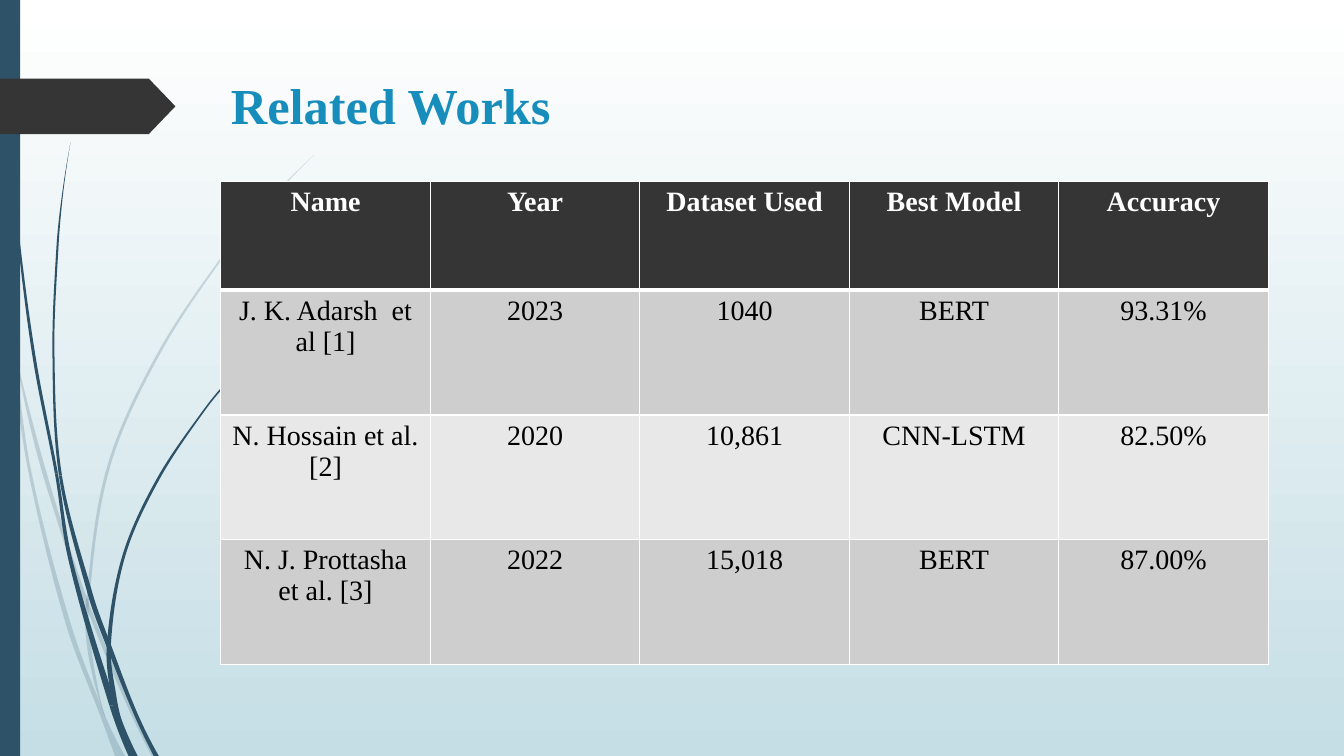
from dataclasses import dataclass

from lxml import etree
from pptx import Presentation
from pptx.dml.color import RGBColor
from pptx.enum.shapes import MSO_SHAPE
from pptx.enum.text import MSO_ANCHOR, PP_ALIGN
from pptx.oxml.ns import qn
from pptx.util import Inches, Pt

RECTANGLE, PENTAGON = MSO_SHAPE.RECTANGLE, MSO_SHAPE.PENTAGON
LEFT, CENTER = PP_ALIGN.LEFT, PP_ALIGN.CENTER
TOP, MIDDLE = MSO_ANCHOR.TOP, MSO_ANCHOR.MIDDLE


@dataclass(frozen=True)
class Theme:
    font: str = "Times New Roman"
    title_size: int = 36
    table_size: int = 20
    title: str = "178DBB"
    blue: str = "2E5369"
    dark: str = "353535"
    white: str = "FFFFFF"
    black: str = "000000"
    sky: str = "C5DEE5"
    bands: tuple = ("CECECE", "E8E8E8")


theme = Theme()


def paint(shape, color):
    """Give a shape a flat fill with no outline and no shadow."""
    shape.shadow.inherit = False
    shape.line.fill.background()
    shape.fill.solid()
    shape.fill.fore_color.rgb = RGBColor.from_string(color)


def write(paragraph, text, size, color, bold, alignment):
    paragraph.alignment = alignment
    run = paragraph.add_run()
    run.text = text
    run.font.name, run.font.size, run.font.bold = theme.font, Pt(size), bold
    run.font.color.rgb = RGBColor.from_string(color)


presentation = Presentation()
presentation.slide_width, presentation.slide_height = Inches(13.33), Inches(7.5)
slide = presentation.slides.add_slide(presentation.slide_layouts[5])
shapes = slide.shapes

# Background: white at the top to pale blue at the bottom
background = slide.background.fill
background.gradient()
background.gradient_angle = 270
for stop, position, color in zip(background.gradient_stops, (0, 1), (theme.white, theme.sky)):
    stop.position = position
    stop.color.rgb = RGBColor.from_string(color)

# Grass blades: opacity in percent, joints between pieces (node numbers),
# then (x, y, width) down the middle of each blade
blades = [
    (20, [1, 4], [(0, 2.82, 0), (.12, 3.5, .03), (.3, 4.7, .03), (.68, 6.2, .05),
                  (1.03, 7.13, .05), (1.19, 7.5, .1)]),
    (20, [3], [(.14, 3.45, 0), (.36, 4.4, .04), (.6, 5.21, .04), (.86, 5.98, .04),
               (1.25, 6.93, .04), (1.53, 7.5, .05)]),
    (20, [5], [(3.12, 1.53, 0), (2.68, 1.98, .02), (2.28, 2.45, .02), (1.59, 3.48, .03),
               (1.08, 4.62, .03), (.87, 5.95, .03), (.89, 6.46, .04), (1.04, 7.11, 0)]),
    (100, [4, 6], [(.04, 0, .01), (.07, 1.1, .01), (.18, 2.33, .02), (.34, 3.55, .03),
                   (.56, 4.7, .03), (.7, 5.56, .04), (1.12, 7, .07), (1.32, 7.5, .09)]),
    (100, [4, 6], [(.7, 1.41, 0), (.62, 1.93, .01), (.57, 2.45, .02), (.53, 3.49, .02),
                   (.6, 4.72, .03), (.9, 5.91, .05), (1.08, 6.41, .05),
                   (1.34, 7.07, .04), (1.55, 7.5, .05)]),
    (100, [5], [(2.6, 3.44, 0), (2.31, 3.73, .02), (2.04, 4.05, .02), (1.57, 4.75, .03),
                (1.23, 5.51, .03), (1.08, 6.4, .04), (1.13, 6.91, .05), (1.21, 7.19, .02)]),
]
for opacity, joints, nodes in blades:
    # Both edges, with the slope dx/dy at every node
    edges = []
    for side in (-0.5, 0.5):
        points = [(x + side * width, y) for x, y, width in nodes]
        secants = [(x1 - x0) / (y1 - y0) for (x0, y0), (x1, y1) in zip(points, points[1:])]
        slopes = [(x1 - x0) / (y1 - y0) for (x0, y0), (x1, y1) in zip(points, points[2:])]
        slopes = [2 * secants[0] - slopes[0], *slopes, 2 * secants[-1] - slopes[-1]]
        edges.append([(Inches(x), Inches(y), slope) for (x, y), slope in zip(points, slopes)])
    left_edge, right_edge = edges
    cuts = [0, *joints, len(nodes) - 1]
    for first, last in zip(cuts, cuts[1:]):
        outline = left_edge[first:last + 1] + right_edge[first:last + 1][::-1]
        builder = shapes.build_freeform(*outline[0][:2])
        builder.add_line_segments([(x, y) for x, y, slope in outline[1:]], close=True)
        blade = builder.convert_to_shape()
        paint(blade, theme.blue)
        # Bend each straight side into a cubic curve
        vertices = list(blade._element.iter(qn("a:pt")))
        for start, end, (_, _, start_slope), (_, _, end_slope) in zip(
                vertices, vertices[1:], outline, outline[1:]):
            third = (int(end.get("y")) - int(start.get("y"))) / 3
            if third:
                side_line = end.getparent()
                side_line.tag = qn("a:cubicBezTo")
                for index, (anchor, reach, slope) in enumerate(
                        ((start, third, start_slope), (end, -third, end_slope))):
                    control = etree.Element(
                        qn("a:pt"), x=str(round(int(anchor.get("x")) + slope * reach)),
                        y=str(round(int(anchor.get("y")) + reach)))
                    side_line.insert(index, control)
        if opacity < 100:
            fill_color = blade._element.spPr.find(".//" + qn("a:srgbClr"))
            etree.SubElement(fill_color, qn("a:alpha"), val=str(opacity * 1000))

# Side bar and arrow tab
side_bar = shapes.add_shape(RECTANGLE, 0, 0, Inches(0.2), presentation.slide_height)
paint(side_bar, theme.blue)
arrow_tab = shapes.add_shape(PENTAGON, 0, Inches(0.78), Inches(1.74), Inches(0.55))
arrow_tab.adjustments[0] = 0.48
paint(arrow_tab, theme.dark)

# Title
content_left, content_width = Inches(2.19), Inches(10.39)
title = shapes.title
title.left, title.top, title.width, title.height = (
    content_left, Inches(0.68), content_width, Inches(0.9))
title.text_frame.vertical_anchor = MIDDLE
title.text_frame.margin_bottom = Inches(0.17)
heading = title.text_frame.paragraphs[0]
heading.line_spacing = 0.9
write(heading, "Related Works", theme.title_size, theme.title, True, LEFT)

# Table of earlier studies
studies = [
    ("Name", "Year", "Dataset Used", "Best Model", "Accuracy"),
    ("J. K. Adarsh  et al [1]", "2023", "1040", "BERT", "93.31%"),
    ("N. Hossain et al. [2]", "2020", "10,861", "CNN-LSTM", "82.50%"),
    ("N. J. Prottasha et al. [3]", "2022", "15,018", "BERT", "87.00%"),
]
table_height, header_height = Inches(4.79), Inches(1.08)
row_height = (table_height - header_height) // (len(studies) - 1)
table = shapes.add_table(
    len(studies), len(studies[0]), content_left, Inches(1.8), content_width, table_height).table

for row_index, study in enumerate(studies):
    is_header = row_index == 0
    table.rows[row_index].height = header_height if is_header else row_height
    row_fill = theme.dark if is_header else theme.bands[(row_index - 1) % 2]
    text_color = theme.white if is_header else theme.black
    border_points = {"L": 1, "R": 1, "T": 1, "B": 3 if is_header else 1}
    for column_index, text in enumerate(study):
        cell = table.cell(row_index, column_index)
        cell.vertical_anchor = TOP
        properties = cell._tc.get_or_add_tcPr()
        for side, points in border_points.items():
            border = etree.SubElement(properties, qn("a:ln" + side), w=str(Pt(points)))
            border_fill = etree.SubElement(border, qn("a:solidFill"))
            etree.SubElement(border_fill, qn("a:srgbClr"), val=theme.white)
        cell.fill.solid()
        cell.fill.fore_color.rgb = RGBColor.from_string(row_fill)
        write(cell.text_frame.paragraphs[0], text, theme.table_size, text_color, is_header, CENTER)

presentation.save("out.pptx")
